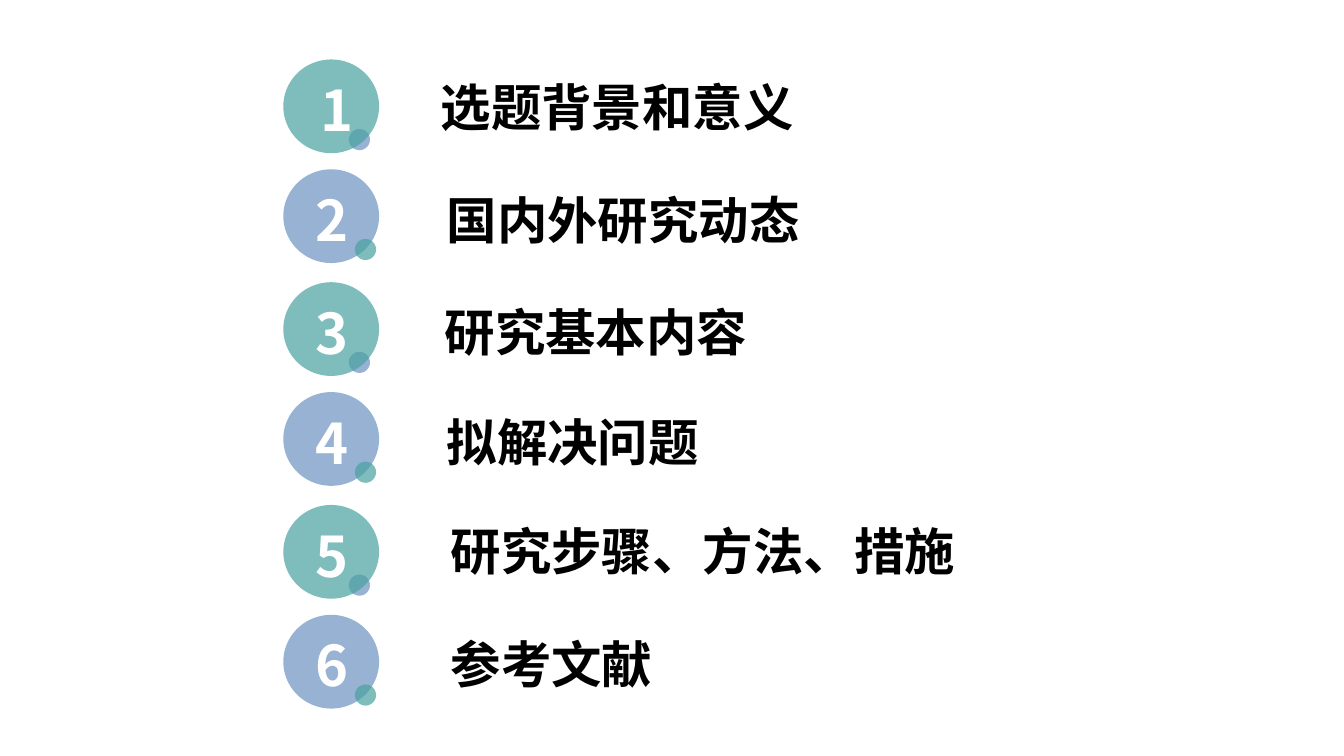
from dataclasses import dataclass

from lxml.etree import SubElement
from pptx import Presentation
from pptx.dml.color import RGBColor
from pptx.enum.shapes import MSO_SHAPE
from pptx.enum.text import MSO_ANCHOR, MSO_AUTO_SIZE, PP_ALIGN
from pptx.oxml.ns import qn
from pptx.slide import Slide
from pptx.util import Emu, Pt

PX = 9144
FONT = "Noto Sans CJK SC"
COLORS = {"teal": "48A2A0", "blue": "6C92C0", "white": "FFFFFF", "black": "000000"}
OPACITY = 70
PAIR_TOP, PAIR_STEP, SECOND_OFFSET = 59, 221, 109
CIRCLE_LEFT, CIRCLE_WIDTH, CIRCLE_HEIGHT = 281, 95, 93
DOT_SIZE, DOT_OFFSET = 21, 69
NUMBER_OFFSET, NUMBER_HEIGHT = 11, 77
LIST_LEFT, LIST_TOP, LIST_WIDTH, LIST_HEIGHT = 427, 70, 579, 640
LINE_HEIGHT = 60


@dataclass
class Badge:
    circle: str
    dot: str
    dot_left: int
    dot_behind: bool
    wrap: bool


@dataclass
class Topic:
    text: str
    top: int
    indent: int
    number_left: int
    number_width: int


BADGES = [
    Badge("teal", "blue", 346, True, False),
    Badge("blue", "teal", 352, False, True),
]
TOPICS = [
    Topic("选题背景和意义", 70, 0, 308, 42),
    Topic("国内外研究动态", 183, 6, 272, 115),
    Topic("研究基本内容", 294, 4, 303, 51),
    Topic("拟解决问题", 403, 6, 272, 115),
    Topic("研究步骤、方法、措施", 511, 10, 303, 51),
    Topic("参考文献", 623, 10, 272, 115),
]


def px(n: int) -> Emu:
    return Emu(n * PX)


def add_run(p, text: str, size: int, color: str) -> None:
    r = p.add_run()
    r.text = text
    for name, value in {"name": FONT, "size": Pt(size), "bold": True}.items():
        setattr(r.font, name, value)
    r.font.color.rgb = RGBColor.from_string(COLORS[color])
    SubElement(r.font._element, qn("a:ea"), typeface=FONT)


def add_ellipse(s: Slide, left: int, top: int, width: int, height: int, color: str) -> None:
    sp = s.shapes.add_shape(MSO_SHAPE.OVAL, px(left), px(top), px(width), px(height))
    sp.shadow.inherit = False
    sp.line.fill.background()
    sp.fill.solid()
    sp.fill.fore_color.rgb = RGBColor.from_string(COLORS[color])
    clr = sp._element.spPr.find(qn("a:solidFill")).find(qn("a:srgbClr"))
    SubElement(clr, qn("a:alpha"), val=str(OPACITY * 1000))


def add_number(s: Slide, number: int, topic: Topic, top: int, wrap: bool) -> None:
    sp = s.shapes.add_textbox(
        px(topic.number_left), px(top), px(topic.number_width), px(NUMBER_HEIGHT)
    )
    tf = sp.text_frame
    tf.word_wrap = wrap
    tf.auto_size = MSO_AUTO_SIZE.SHAPE_TO_FIT_TEXT
    p = tf.paragraphs[0]
    p.alignment = PP_ALIGN.CENTER
    add_run(p, str(number), 40, "white")


def add_badge(s: Slide, index: int, topic: Topic) -> None:
    pair, second = divmod(index, 2)
    badge = BADGES[second]
    top = PAIR_TOP + pair * PAIR_STEP + second * SECOND_OFFSET
    dot = (badge.dot_left, top + DOT_OFFSET, DOT_SIZE, DOT_SIZE, badge.dot)
    if badge.dot_behind:
        add_ellipse(s, *dot)
    add_ellipse(s, CIRCLE_LEFT, top, CIRCLE_WIDTH, CIRCLE_HEIGHT, badge.circle)
    add_number(s, index + 1, topic, top + NUMBER_OFFSET, badge.wrap)
    if not badge.dot_behind:
        add_ellipse(s, *dot)


def fill_list(s: Slide, topics: list[Topic]) -> None:
    sp = s.placeholders[1]
    frame = {"left": LIST_LEFT, "top": LIST_TOP, "width": LIST_WIDTH, "height": LIST_HEIGHT}
    for name, value in frame.items():
        setattr(sp, name, px(value))
    tf = sp.text_frame
    layout = {
        "auto_size": MSO_AUTO_SIZE.NONE,
        "vertical_anchor": MSO_ANCHOR.TOP,
        "word_wrap": True,
        "margin_left": px(10),
        "margin_right": px(10),
        "margin_top": px(5),
        "margin_bottom": px(5),
    }
    for name, value in layout.items():
        setattr(tf, name, value)
    previous_top = LIST_TOP - LINE_HEIGHT
    for i, topic in enumerate(topics):
        p = tf.add_paragraph() if i else tf.paragraphs[0]
        gap = px(topic.top - previous_top - LINE_HEIGHT)
        spacing = {
            "alignment": PP_ALIGN.LEFT,
            "line_spacing": 1.0,
            "space_before": gap,
            "space_after": Pt(0),
        }
        for name, value in spacing.items():
            setattr(p, name, value)
        pPr = p._p.get_or_add_pPr()
        pPr.set("marL", str(px(topic.indent)))
        pPr.set("indent", "0")
        SubElement(pPr, qn("a:buNone"))
        add_run(p, topic.text, 36, "black")
        previous_top = topic.top


def main() -> None:
    prs = Presentation()
    prs.slide_width, prs.slide_height = px(1333), px(750)
    s = prs.slides.add_slide(prs.slide_layouts[1])
    title = s.shapes.title._element
    title.getparent().remove(title)
    fill_list(s, TOPICS)
    for i, topic in enumerate(TOPICS):
        add_badge(s, i, topic)
    prs.save("out.pptx")


if __name__ == "__main__":
    main()
